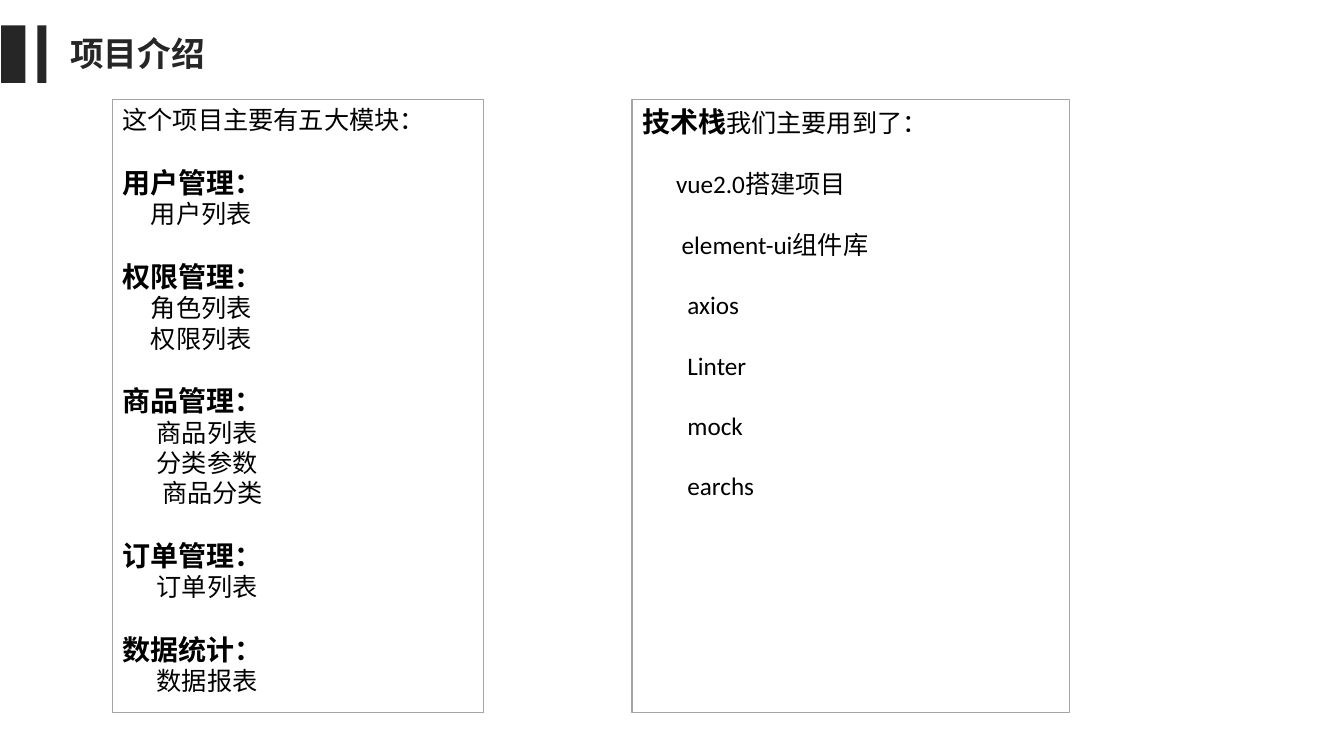
from dataclasses import dataclass

from lxml.etree import SubElement
from pptx import Presentation
from pptx.dml.color import RGBColor
from pptx.enum.lang import MSO_LANGUAGE_ID
from pptx.enum.shapes import MSO_SHAPE
from pptx.enum.text import MSO_ANCHOR, PP_ALIGN
from pptx.oxml.ns import qn
from pptx.util import Cm, Pt


@dataclass(frozen=True)
class Theme:
    dark: RGBColor = RGBColor.from_string("262626")
    ink: RGBColor = RGBColor.from_string("000000")
    paper: RGBColor = RGBColor.from_string("FFFFFF")
    edge: RGBColor = RGBColor.from_string("A5A5A5")
    head: str = "Noto Sans CJK SC"
    body: str = "Calibri"
    title: float = 24
    lead: float = 20
    text: float = 18
    pitch: float = 1.2
    step: float = 0.143


THEME = Theme()

MODULES = [
    ("用户管理：", [("用户列表", 5)]),
    ("权限管理：", [("角色列表", 5), ("权限列表", 5)]),
    ("商品管理：", [("商品列表", 6), ("分类参数", 6), ("商品分类", 7)]),
    ("订单管理：", [("订单列表", 6)]),
    ("数据统计：", [("数据报表", 6)]),
]
STACK = [
    ("vue2.0搭建项目", 6),
    ("element-ui组件库", 7),
    ("axios", 8),
    ("Linter", 8),
    ("mock", 8),
    ("earchs", 8),
]


def apply(item, values):
    for name, value in values.items():
        setattr(item, name, value)


def add_run(para, text, size, face, color, bold=False):
    run = para.add_run()
    run.text = text
    apply(run.font, {
        "size": Pt(size),
        "name": face,
        "bold": bold,
        "language_id": MSO_LANGUAGE_ID.SIMPLIFIED_CHINESE,
    })
    run.font.color.rgb = color
    SubElement(run.font._element, qn("a:ea")).set("typeface", face)


def add_rect(shapes, box, fill, edge=None):
    rect = shapes.add_shape(MSO_SHAPE.RECTANGLE, *map(Cm, box))
    rect.shadow.inherit = False
    rect.fill.solid()
    rect.fill.fore_color.rgb = fill
    if edge is None:
        rect.line.fill.background()
    else:
        rect.line.color.rgb = edge
        rect.line.width = Pt(1)
    return rect


def add_header(slide, box):
    left, top, width, height = box
    bars = slide.shapes.add_group_shape()
    for shift, thick in ((0, 0.61), (0.91, 0.23)):
        add_rect(bars.shapes, (left + shift, top, thick, height), THEME.dark)
    title = slide.shapes.title
    apply(title, {
        "left": Cm(left + 1.49),
        "top": Cm(top + 0.07),
        "width": Cm(width - 1.49),
        "height": Cm(1.27),
    })
    apply(title.text_frame, {
        "word_wrap": True,
        "vertical_anchor": MSO_ANCHOR.MIDDLE,
    })
    para = title.text_frame.paragraphs[0]
    apply(para, {"alignment": PP_ALIGN.LEFT, "line_spacing": 1.0})
    add_run(para, "项目介绍", THEME.title, THEME.head, THEME.dark, True)


def add_panel(slide, box, lines):
    frame = add_rect(slide.shapes, box, THEME.paper, THEME.edge).text_frame
    apply(frame, {"word_wrap": True, "vertical_anchor": MSO_ANCHOR.TOP})
    for index, (parts, steps, gap) in enumerate(lines):
        para = frame.add_paragraph() if index else frame.paragraphs[0]
        size = max(THEME.lead if bold else THEME.text for _, bold in parts)
        apply(para, {
            "alignment": PP_ALIGN.LEFT,
            "line_spacing": Pt(size * THEME.pitch),
            "space_before": Pt(THEME.text * THEME.pitch if gap else 0),
        })
        props = para._p.get_or_add_pPr()
        props.set("marL", str(Cm(steps * THEME.step)))
        props.set("indent", "0")
        for text, bold in parts:
            size = THEME.lead if bold else THEME.text
            add_run(para, text, size, THEME.body, THEME.ink, bold)


def add_modules(slide, box):
    lines = [([("这个项目主要有五大模块：", False)], 0, False)]
    for name, items in MODULES:
        lines.append(([(name, True)], 0, True))
        lines += [([(text, False)], steps, False) for text, steps in items]
    add_panel(slide, box, lines)


def add_stack(slide, box):
    lines = [([("技术栈", True), ("我们主要用到了：", False)], 0, False)]
    lines += [([(text, False)], steps, True) for text, steps in STACK]
    add_panel(slide, box, lines)


def main():
    deck = Presentation()
    apply(deck, {"slide_width": Cm(33.87), "slide_height": Cm(19.05)})
    slide = deck.slides.add_slide(deck.slide_layouts[5])
    add_header(slide, (0.03, 0.64, 12.92, 1.45))
    add_modules(slide, (2.84, 2.51, 9.35, 15.44))
    add_stack(slide, (15.93, 2.51, 11.02, 15.44))
    deck.save("out.pptx")


if __name__ == "__main__":
    main()
